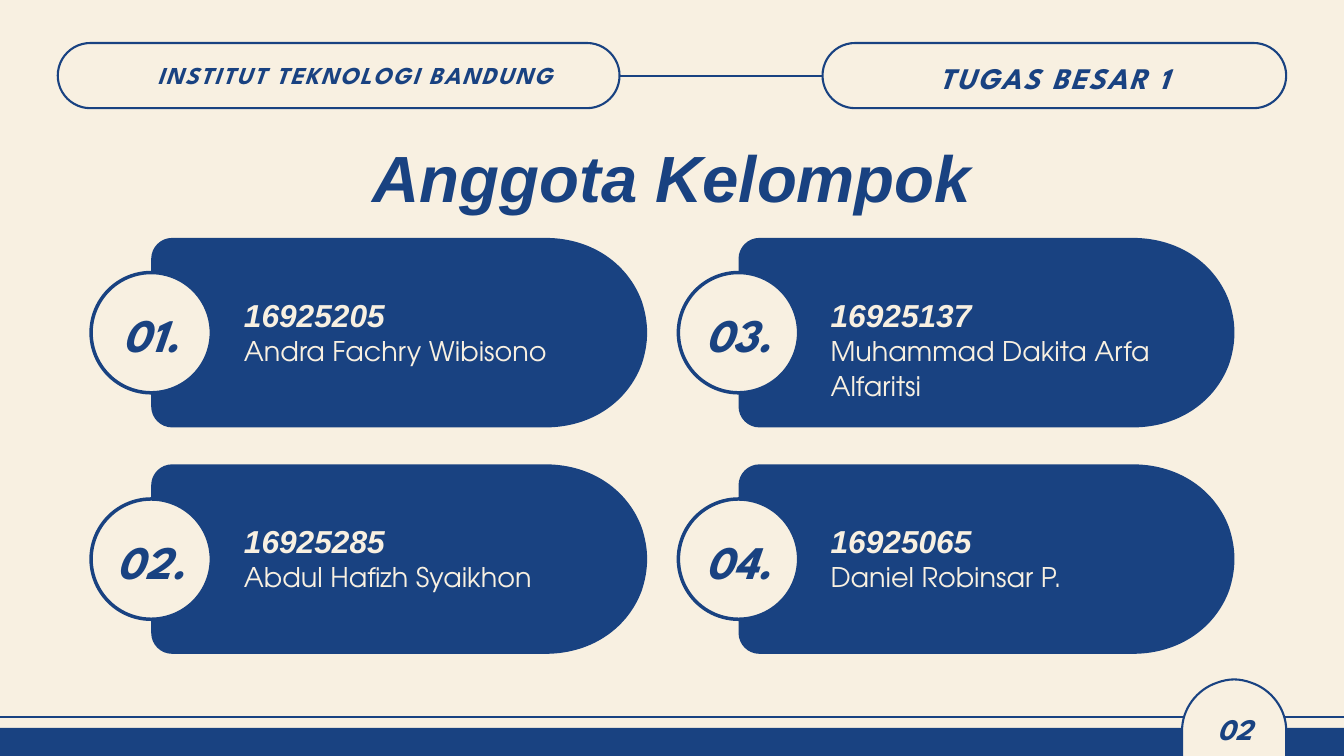
from lxml.etree import SubElement
from pptx import Presentation
from pptx.dml.color import RGBColor
from pptx.enum.shapes import MSO_CONNECTOR, MSO_SHAPE
from pptx.enum.text import MSO_AUTO_SIZE, PP_ALIGN
from pptx.oxml.ns import qn
from pptx.util import Inches, Pt

COLORS = {"navy": "194281", "cream": "F8F0E1"}
TITLE = "Anggota Kelompok"
INSTITUTION = "INSTITUT TEKNOLOGI BANDUNG"
ASSIGNMENT = "TUGAS BESAR 1"
PAGE_NUMBER = "02"
# number, its box width, student id, name, name box height; column by column
MEMBERS = [
    ("01.", 1.5, "16925205", "Andra Fachry Wibisono", 0.5),
    ("02.", 1.61, "16925285", "Abdul Hafizh Syaikhon", 0.5),
    ("03.", 1.63, "16925137", "Muhammad Dakita Arfa Alfaritsi", 1.02),
    ("04.", 1.63, "16925065", "Daniel Robinsar P.", 0.5),
]
# font, size, line spacing, bold italic, letter spacing (points)
STYLES = {
    "title": ("Arial", 70, 98, True, 0),
    "id": ("Arial", 34, 47.6, True, 0),
    "name": ("TeX Gyre Adventor", 29, 37.7, False, 0),
    "number": ("League Spartan", 50, 70, True, 0),
    "page": ("League Spartan", 32, 44.8, True, 0),
    "institution": ("League Spartan", 26, 37.8, True, 1.9),
    "assignment": ("League Spartan", 32, 44.8, True, 2.2),
}
CARD_LEFT, CARD_TOP = 2.25, 3.54
COLUMN_STEP, ROW_STEP = 8.74, 3.37
TEXT_LEFT, TEXT_STEP = 3.63, 8.73
CARD_HEIGHT, TAB_WIDTH = 2.82, 1.55
CIRCLE = 1.79
# Half outlines: a start, then segments of one point (line) or three (curve)
CARD_START = (0, 0.31)
CARD_HALF = [
    [(0, 0.14), (0.14, 0), (0.31, 0)],
    [(5.89, 0)],
    [(6.58, 0.01), (7.1, 0.4), (7.3, 0.94)],
    [(7.35, 1.09), (7.38, 1.25), (7.38, 1.41)],
]
TAB_START = (0, 1.31)
TAB_HALF = [
    [(0, 0.76)],
    [(0, 0.44), (0.22, 0.15), (0.52, 0.05)],
    [(0.6, 0.02), (0.69, 0), (0.78, 0)],
]


def color(name):
    return RGBColor.from_string(COLORS[name])


def paint(shape, fill=None, line_width=None):
    shape.shadow.inherit = False
    if fill:
        shape.fill.solid()
        shape.fill.fore_color.rgb = color(fill)
    else:
        shape.fill.background()
    if line_width:
        shape.line.color.rgb = color("navy")
        shape.line.width = Pt(line_width)
    else:
        shape.line.fill.background()
    return shape


def add_preset(page, kind, place, fill=None, line_width=None):
    shape = page.shapes.add_shape(kind, *map(Inches, place))
    return paint(shape, fill, line_width)


def add_line(page, start, end):
    line = page.shapes.add_connector(
        MSO_CONNECTOR.STRAIGHT, *map(Inches, start + end))
    line.line.color.rgb = color("navy")
    line.line.width = Pt(2.25)
    SubElement(line._element.spPr, qn("a:effectLst"))
    return line


def add_text(page, text, place, style, ink="navy", align=PP_ALIGN.CENTER):
    font, size, line_spacing, strong, letter_spacing = STYLES[style]
    box = page.shapes.add_textbox(*map(Inches, place))
    frame = box.text_frame
    frame.word_wrap = True
    frame.auto_size = MSO_AUTO_SIZE.SHAPE_TO_FIT_TEXT
    frame.margin_left = frame.margin_right = 0
    frame.margin_top = frame.margin_bottom = 0
    para = frame.paragraphs[0]
    para.alignment = align
    para.line_spacing = Pt(line_spacing)
    span = para.add_run()
    span.text = text
    span.font.name = font
    span.font.size = Pt(size)
    span.font.bold = span.font.italic = strong
    span.font.color.rgb = color(ink)
    if letter_spacing:
        span.font._element.set("spc", str(round(letter_spacing * 100)))


def with_mirror(start, half, reflect):
    """Complete a half outline with its reflection, walked backwards."""
    ends = [start] + [segment[-1] for segment in half]
    mirrored = [[reflect(ends[-1])]]
    for segment, end in zip(reversed(half), reversed(ends[:-1])):
        mirrored.append([reflect(p) for p in segment[-2::-1] + [end]]
                        if len(segment) > 1 else [reflect(end)])
    if reflect(ends[-1]) == ends[-1]:
        mirrored.pop(0)
    return half + mirrored


def add_outline(page, left, top, start, segments, fill, line_width=None):
    """Draw a closed outline at left, top; three-point segments are curves."""
    def place(point):
        return Inches(left + point[0]), Inches(top + point[1])

    builder = page.shapes.build_freeform(*place(start))
    builder.add_line_segments([place(s[-1]) for s in segments], close=True)
    shape = builder.convert_to_shape()
    steps = list(shape._element.iter(qn("a:lnTo")))
    for step, segment in zip(steps, segments):
        if len(segment) == 3:
            step.tag = qn("a:cubicBezTo")
            for index, control in enumerate(segment[:2]):
                x, y = place(control)
                point = SubElement(step, qn("a:pt"))
                point.set("x", str(x - shape.left))
                point.set("y", str(y - shape.top))
                step.insert(index, point)
    return paint(shape, fill, line_width)


def add_member(page, column, row, member):
    number, number_width, student_id, name, name_height = member
    left = CARD_LEFT + column * COLUMN_STEP
    top = CARD_TOP + row * ROW_STEP
    card = with_mirror(CARD_START, CARD_HALF,
                       lambda p: (p[0], round(CARD_HEIGHT - p[1], 2)))
    add_outline(page, left, top, CARD_START, card, "navy")
    circle_top = top + (CARD_HEIGHT - CIRCLE) / 2
    add_preset(page, MSO_SHAPE.OVAL,
               (left - CIRCLE / 2, circle_top, CIRCLE, CIRCLE), "cream", 3.75)
    add_text(page, number,
             (left - number_width / 2, top + 0.88, number_width, 0.94),
             "number")
    text_left = TEXT_LEFT + column * TEXT_STEP
    add_text(page, student_id, (text_left, top + 0.76, 3.62, 0.65),
             "id", "cream", PP_ALIGN.LEFT)
    add_text(page, name, (text_left, top + 1.39, 4.98, name_height),
             "name", "cream", PP_ALIGN.LEFT)


def add_header(page):
    pills = []
    for left, width in ((0.86, 8.36), (12.24, 6.9)):
        pill = add_preset(page, MSO_SHAPE.ROUNDED_RECTANGLE,
                          (left, 0.64, width, 0.97), None, 2.25)
        pill.adjustments[0] = 0.5
        pills.append(pill)
    link = add_line(page, (9.22, 1.12), (12.24, 1.12))
    link.begin_connect(pills[0], 3)
    link.end_connect(pills[1], 1)
    add_text(page, INSTITUTION, (2.34, 0.81, 6.68, 0.51),
             "institution", align=PP_ALIGN.LEFT)
    add_text(page, ASSIGNMENT, (12.74, 0.8, 5.89, 0.59), "assignment")


def add_footer(page):
    add_preset(page, MSO_SHAPE.RECTANGLE, (0, 10.83, 20, 0.42), "navy")
    add_line(page, (-0.78, 10.67), (20.78, 10.67))
    tab = with_mirror(TAB_START, TAB_HALF,
                      lambda p: (round(TAB_WIDTH - p[0], 2), p[1]))
    add_outline(page, 17.59, 10.11, TAB_START, tab, "cream", 2.25)
    add_text(page, PAGE_NUMBER, (17.82, 10.48, 1.1, 0.61), "page")


def main():
    deck = Presentation()
    deck.slide_width, deck.slide_height = Inches(20), Inches(11.25)
    page = deck.slides.add_slide(deck.slide_layouts[6])
    page.background.fill.solid()
    page.background.fill.fore_color.rgb = color("cream")
    add_footer(page)
    add_header(page)
    add_text(page, TITLE, (4.72, 1.84, 10.56, 1.32), "title")
    for index, member in enumerate(MEMBERS):
        add_member(page, *divmod(index, 2), member)
    deck.save("out.pptx")


if __name__ == "__main__":
    main()
